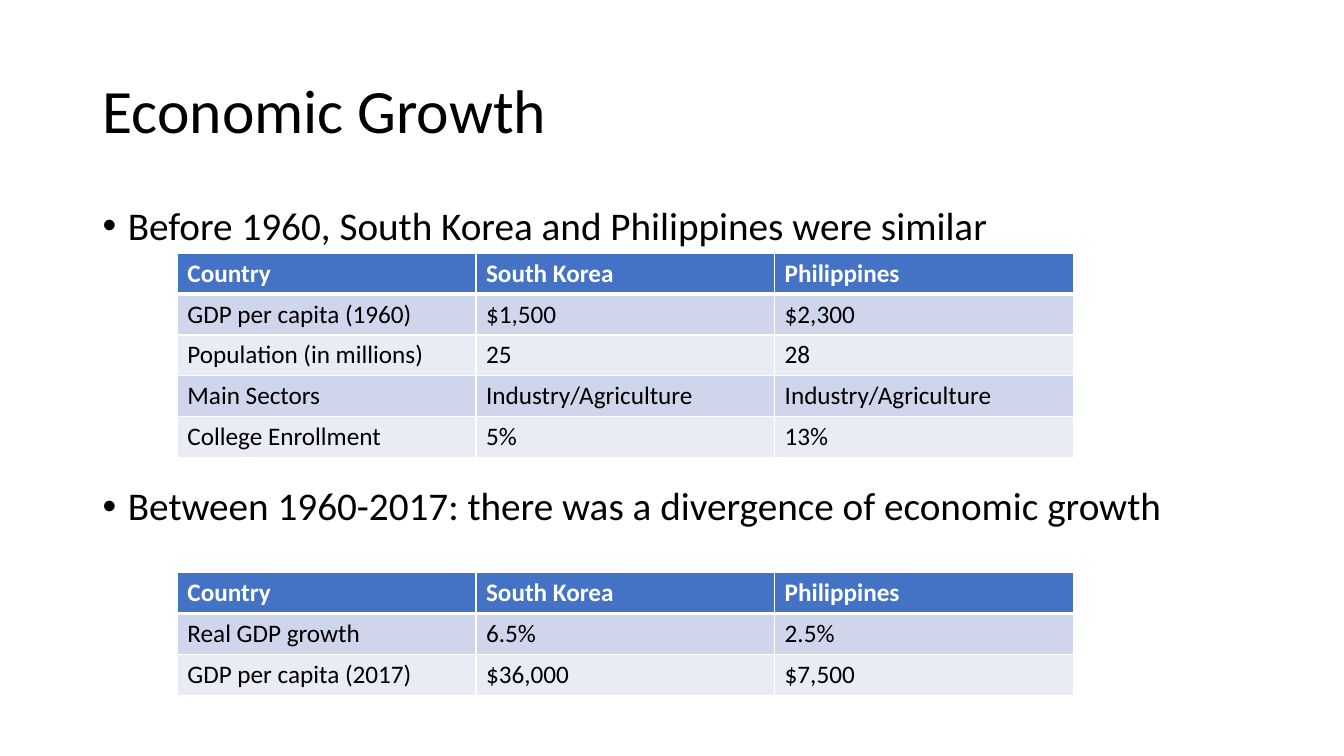
from dataclasses import dataclass

from lxml.etree import SubElement
from pptx import Presentation
from pptx.dml.color import RGBColor
from pptx.enum.text import MSO_ANCHOR, MSO_AUTO_SIZE, PP_ALIGN
from pptx.oxml import parse_xml
from pptx.oxml.ns import nsdecls, qn
from pptx.util import Cm, Pt


@dataclass(frozen=True)
class Theme:
    font: str = "Calibri"
    ink: str = "000000"
    paper: str = "FFFFFF"
    header: str = "4472C4"
    bands: tuple = ("CFD5EA", "E9EBF5")
    title_size: int = 44
    bullet_size: int = 28
    cell_size: int = 18


THEME = Theme()

COUNTRIES = ("Country", "South Korea", "Philippines")
BEFORE_1960 = (
    COUNTRIES,
    ("GDP per capita (1960)", "$1,500", "$2,300"),
    ("Population (in millions)", "25", "28"),
    ("Main Sectors", "Industry/Agriculture", "Industry/Agriculture"),
    ("College Enrollment", "5%", "13%"),
)
AFTER_1960 = (
    COUNTRIES,
    ("Real GDP growth", "6.5%", "2.5%"),
    ("GDP per capita (2017)", "$36,000", "$7,500"),
)
# Each bullet with its space before, in points
BULLETS = (
    ("Before 1960, South Korea and Philippines were similar", 0),
    ("Between 1960-2017: there was a divergence of economic growth", 170),
)


def apply(target, values):
    for name, value in values.items():
        setattr(target, name, value)


def style_font(font, size, color, bold=False):
    apply(font, {"name": THEME.font, "size": Pt(size), "bold": bold})
    font.color.rgb = RGBColor.from_string(color)


def place(part, box):
    apply(part, dict(zip(("left", "top", "width", "height"), map(Cm, box))))


# Heading
def add_heading(slide, box, words):
    heading = slide.shapes.title
    place(heading, box)
    apply(heading.text_frame, {
        "text": words, "word_wrap": True,
        "vertical_anchor": MSO_ANCHOR.MIDDLE, "auto_size": MSO_AUTO_SIZE.NONE,
    })
    line = heading.text_frame.paragraphs[0]
    apply(line, {"alignment": PP_ALIGN.LEFT, "line_spacing": 0.9})
    style_font(line.font, THEME.title_size, THEME.ink)


# Bulleted statements
def add_statements(slide, box, bullets):
    body = slide.placeholders[1]
    place(body, box)
    frame = body.text_frame
    apply(frame, {
        "text": "\n".join(words for words, _ in bullets), "word_wrap": True,
        "vertical_anchor": MSO_ANCHOR.TOP, "auto_size": MSO_AUTO_SIZE.NONE,
    })
    for statement, (_, gap) in zip(frame.paragraphs, bullets):
        props = statement._p.get_or_add_pPr()
        props.set("marL", str(Cm(0.64)))
        props.set("indent", str(Cm(-0.64)))
        SubElement(props, qn("a:buFont"), typeface="Arial")
        SubElement(props, qn("a:buChar"), char="•")
        apply(statement, {"line_spacing": 0.9, "space_before": Pt(gap)})
        style_font(statement.font, THEME.bullet_size, THEME.ink)


def set_borders(cell, widths):
    props = cell._tc.get_or_add_tcPr()
    for position, (side, width) in enumerate(widths.items()):
        props.insert(position, parse_xml(
            f'<a:ln{side} {nsdecls("a")} w="{Pt(width)}"><a:solidFill>'
            f'<a:srgbClr val="{THEME.paper}"/></a:solidFill></a:ln{side}>'))


# Country comparison table
def add_comparison(slide, box, rows):
    comparison = slide.shapes.add_table(
        len(rows), len(rows[0]), *map(Cm, box)).table
    for row_index, row in enumerate(rows):
        is_header = row_index == 0
        fill = THEME.header if is_header else THEME.bands[(row_index - 1) % 2]
        ink = THEME.paper if is_header else THEME.ink
        # The rule under the header is the heavy one
        borders = {"L": 1, "R": 1, "T": 3 if row_index == 1 else 1,
                   "B": 3 if is_header else 1}
        for column_index, words in enumerate(row):
            cell = comparison.cell(row_index, column_index)
            cell.text = words
            style_font(cell.text_frame.paragraphs[0].runs[0].font,
                       THEME.cell_size, ink, is_header)
            cell.fill.solid()
            cell.fill.fore_color.rgb = RGBColor.from_string(fill)
            set_borders(cell, borders)


def build_growth_slide(deck):
    slide = deck.slides.add_slide(deck.slide_layouts[1])
    left, width = 2.33, 29.21
    table_left, table_width, row_height = 4.47, 22.58, 1.03
    add_heading(slide, (left, 1.01, width, 3.68), "Economic Growth")
    add_statements(slide, (left, 5.08, width, 12.09), BULLETS)
    for top, rows in ((6.38, BEFORE_1960), (14.43, AFTER_1960)):
        add_comparison(
            slide, (table_left, top, table_width, row_height * len(rows)), rows)


def main():
    deck = Presentation()
    apply(deck, {"slide_width": Cm(33.87), "slide_height": Cm(19.05)})
    build_growth_slide(deck)
    deck.save("out.pptx")


if __name__ == "__main__":
    main()
